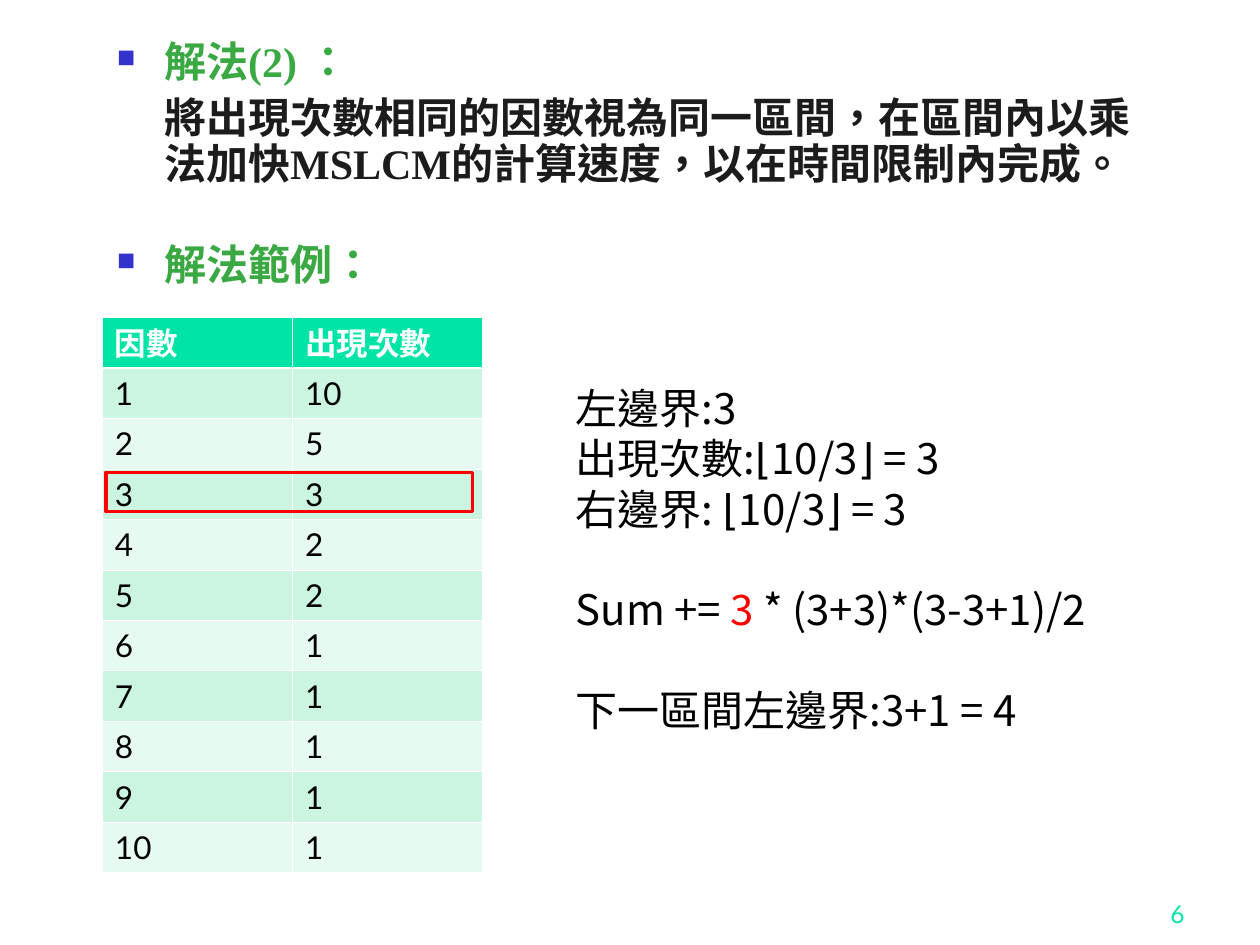
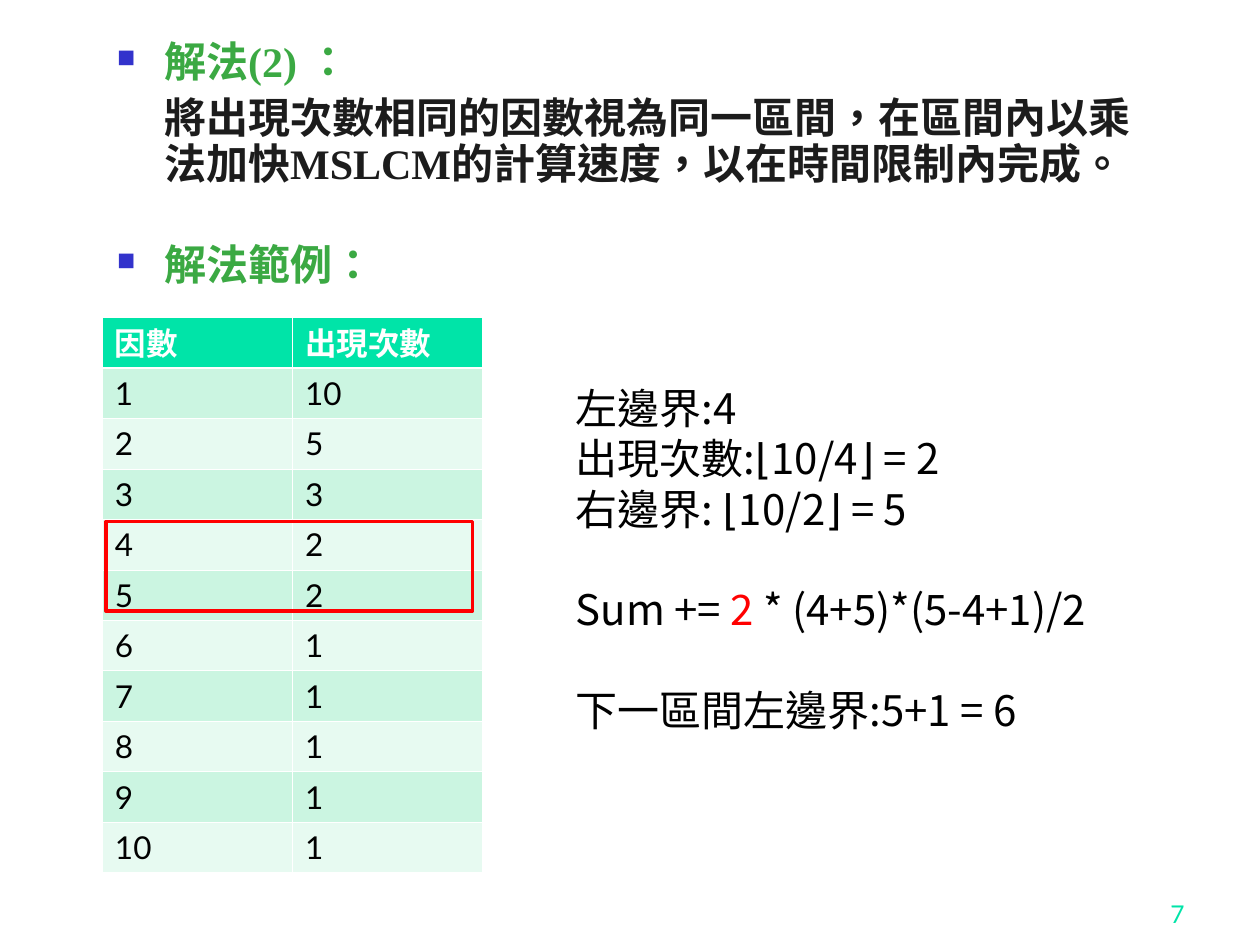
from dataclasses import dataclass
from lxml.etree import SubElement
from pptx import Presentation
from pptx.dml.color import RGBColor
from pptx.enum.shapes import MSO_SHAPE
from pptx.enum.text import MSO_ANCHOR, PP_ALIGN
from pptx.oxml.ns import qn
from pptx.util import Pt


@dataclass(frozen=True)
class Theme:
    green: str = "3BA943"
    mint: str = "00E4A8"
    bands: tuple = ("E7FAF1", "CBF5E1")
    blue: str = "3333CC"
    ink: str = "1C1C1C"
    black: str = "000000"
    white: str = "FFFFFF"
    red: str = "FF0000"
    serif: str = "Times New Roman"
    sans: str = "Lato"
    math: str = "Noto Sans CJK SC"
    body: int = 24
    cell: int = 18
    foot: int = 14


theme = Theme()


def add_run(para, text, size, face, color, bold=False):
    run = para.add_run()
    run.text = text
    font = run.font
    font.size, font.name, font.bold = Pt(size), face, bold
    font.color.rgb = RGBColor.from_string(color)
    props = run._r.get_or_add_rPr()
    props.set("lang", "zh-TW")
    SubElement(props, qn("a:ea"), typeface=theme.sans)


def add_box(slide, left, top, width, height):
    frame = slide.shapes.add_textbox(Pt(left), Pt(top), Pt(width), Pt(height)).text_frame
    frame.word_wrap = True
    return frame


# Text: bulleted or not, space before, wording, colour
intro = [
    (True, 0, "解法(2) ：", theme.green),
    (False, 6, "將出現次數相同的因數視為同一區間，在區間內以乘法加快MSLCM的計算速度，"
     "以在時間限制內完成。", theme.ink),
    (True, 32, "解法範例：", theme.green),
]
heads = ("因數", "出現次數")
total = 10
rows = [heads] + [(str(n), str(total // n)) for n in range(1, total + 1)]

# Steps: page, left bound, right bound, divisor, top and height of the frame
steps = [(6, 3, 3, 3, 270, 22.3), (7, 4, 5, 2, 298, 51.1)]

deck = Presentation()
deck.slide_width, deck.slide_height = Pt(720), Pt(540)

for page, low, high, div, top, tall in steps:
    slide = deck.slides.add_slide(deck.slide_layouts[6])
    count = total // low

    # Method and example headings
    frame = add_box(slide, 59.8, 20.2, 612, 487)
    frame.margin_left = Pt(7)
    for num, (mark, gap, text, color) in enumerate(intro):
        para = frame.paragraphs[0] if num == 0 else frame.add_paragraph()
        para.line_spacing = 0.9
        para.space_before = Pt(gap)
        props = para._p.get_or_add_pPr()
        props.set("marL", str(Pt(27)))
        props.set("indent", str(Pt(-27 if mark else 0)))
        if mark:
            tint = SubElement(props, qn("a:buClr"))
            SubElement(tint, qn("a:srgbClr"), val=theme.blue)
            SubElement(props, qn("a:buSzPct"), val="60000")
            SubElement(props, qn("a:buChar"), char="■")
        add_run(para, text, theme.body, theme.serif, color, True)

    # Page number
    frame = add_box(slide, 534, 498, 150, 36)
    frame.vertical_anchor = MSO_ANCHOR.BOTTOM
    para = frame.paragraphs[0]
    para.alignment = PP_ALIGN.RIGHT
    add_run(para, str(page), theme.foot, theme.sans, theme.mint)

    # Table of factors and counts
    table = slide.shapes.add_table(len(rows), 2, Pt(58.5), Pt(181.5),
                                   Pt(217.4), Pt(28.8 * len(rows))).table
    for r, row in enumerate(rows):
        table.rows[r].height = Pt(28.8)
        for c, text in enumerate(row):
            cell = table.cell(r, c)
            props = cell._tc.get_or_add_tcPr()
            for side in "LRTB":
                thick = (r, side) in ((0, "B"), (1, "T"))
                line = SubElement(props, qn(f"a:ln{side}"), w=str(Pt(1.47 if thick else 0.45)))
                paint = SubElement(line, qn("a:solidFill"))
                SubElement(paint, qn("a:srgbClr"), val=theme.white)
            cell.fill.solid()
            fill = theme.bands[r % 2] if r else theme.mint
            cell.fill.fore_color.rgb = RGBColor.from_string(fill)
            color = theme.black if r else theme.white
            add_run(cell.text_frame.paragraphs[0], text, theme.cell, theme.sans, color, r == 0)

    # Red frame around the current range
    rect = slide.shapes.add_shape(MSO_SHAPE.RECTANGLE, Pt(60.5), Pt(top), Pt(209.5), Pt(tall))
    rect.shadow.inherit = False
    rect.fill.background()
    rect.line.color.rgb = RGBColor.from_string(theme.red)
    rect.line.width = Pt(2)

    # Working for the current range
    work = [
        (0, [(f"左邊界:{low}", theme.black)]),
        (0, [(f"出現次數:⌊{total}/{low}⌋ = {count}", theme.black)]),
        (0, [(f"右邊界: ⌊{total}/{div}⌋ = {high}", theme.black)]),
        (28.8, [("Sum += ", theme.black), (f"{count} ", theme.red),
                (f"* ({low}+{high})*({high}-{low}+1)/2", theme.black)]),
        (28.8, [(f"下一區間左邊界:{high}+1 = {high + 1}", theme.black)]),
    ]
    frame = add_box(slide, 321.8, 213.1, 370, 237.6)
    frame.margin_top = Pt(5.4)
    for num, (gap, parts) in enumerate(work):
        para = frame.paragraphs[0] if num == 0 else frame.add_paragraph()
        para.line_spacing = Pt(28.8)
        para.space_before = Pt(gap)
        for text, color in parts:
            add_run(para, text, theme.body, theme.math, color)

deck.save("out.pptx")
